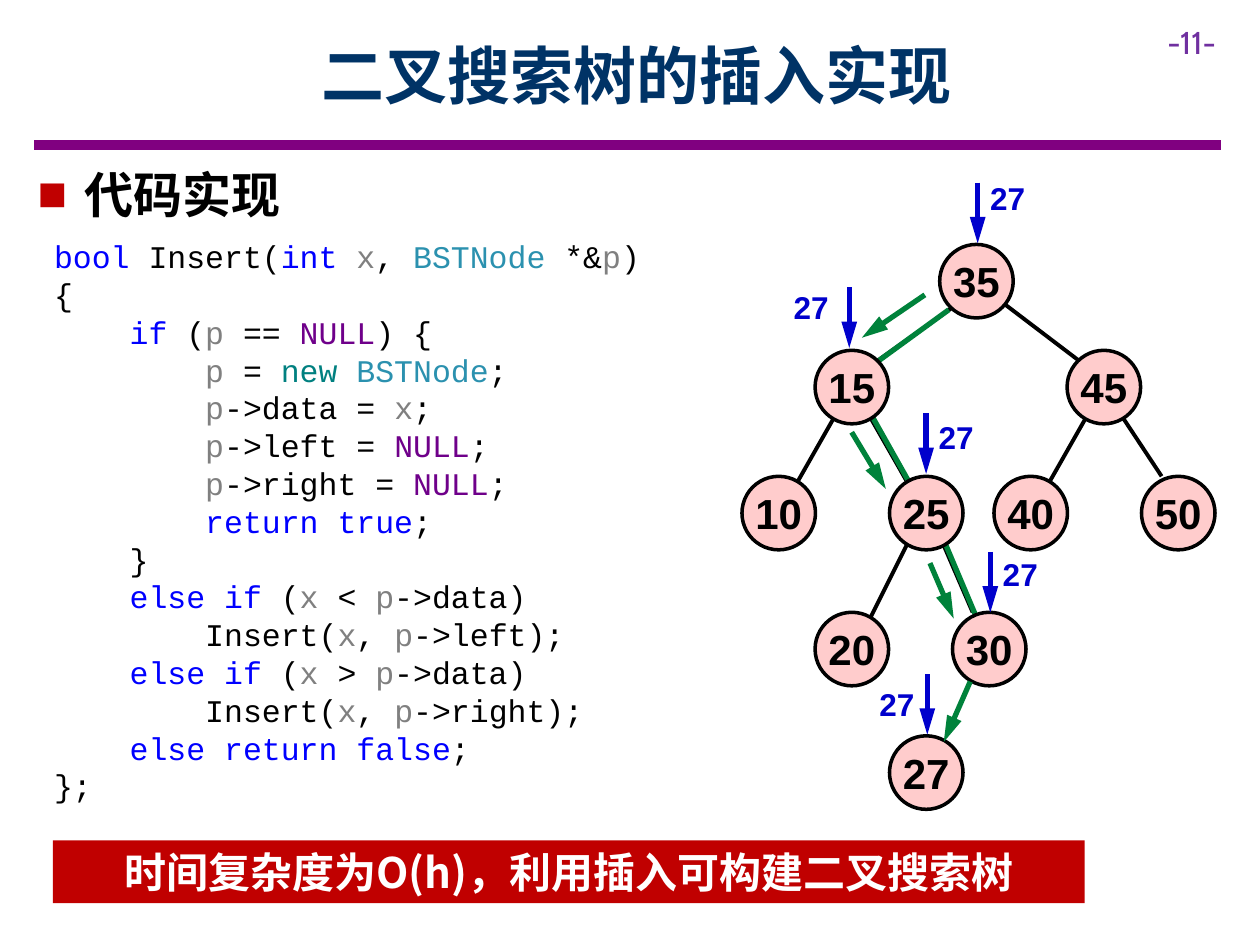
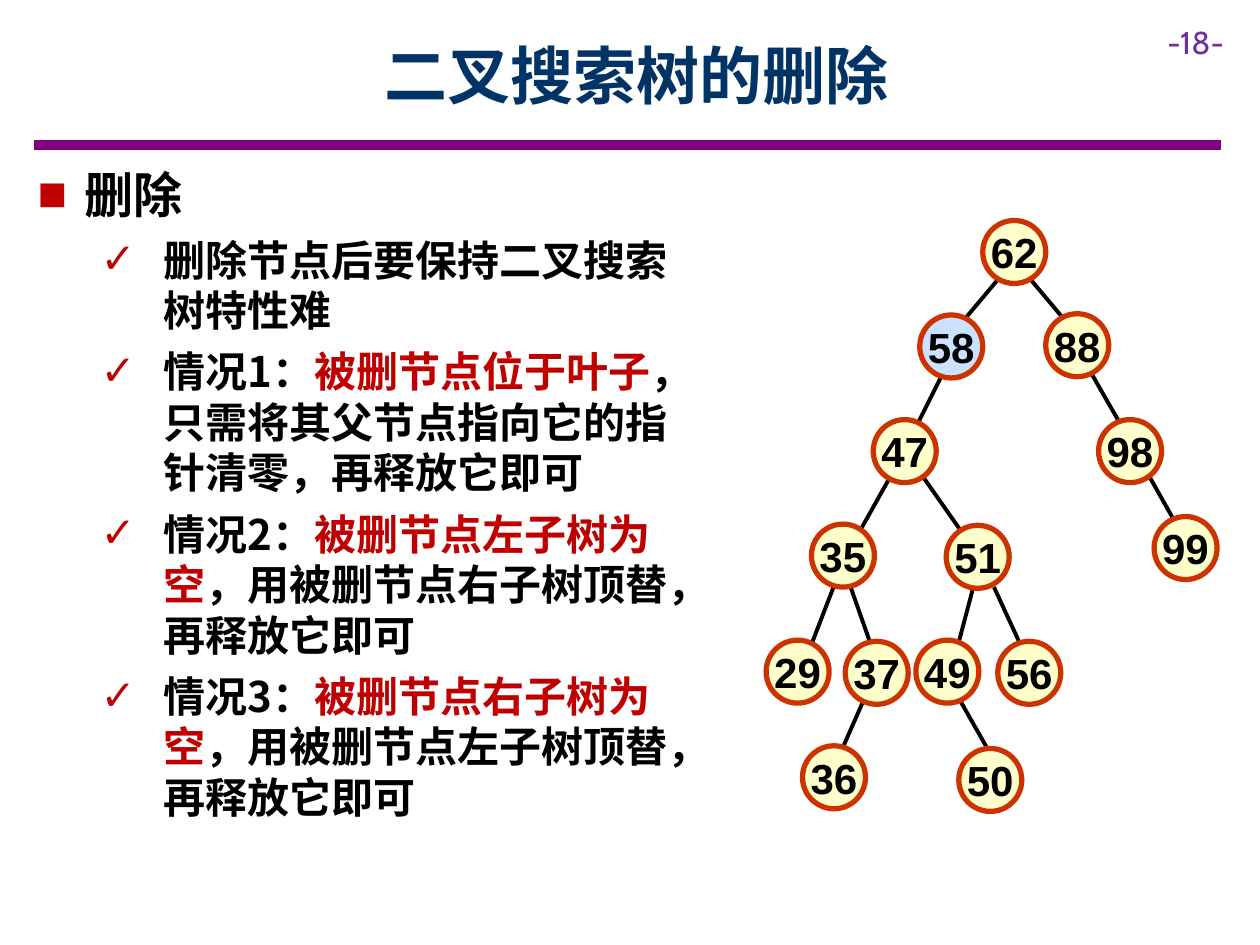
"""Build two slides on inserting into and deleting from a binary search tree."""
from itertools import groupby

from lxml.etree import SubElement
from pptx import Presentation
from pptx.dml.color import RGBColor
from pptx.enum.shapes import MSO_CONNECTOR as Connector, MSO_SHAPE as Shape
from pptx.enum.text import MSO_ANCHOR as Anchor, PP_ALIGN as Align
from pptx.oxml.ns import qn
from pptx.util import Pt

BLACK = RGBColor(0x00, 0x00, 0x00)
WHITE = RGBColor(0xFF, 0xFF, 0xFF)
NAVY = RGBColor(0x00, 0x33, 0x66)
PURPLE = RGBColor(0x80, 0x00, 0x80)
VIOLET = RGBColor(0x70, 0x30, 0xA0)
RED = RGBColor(0xC0, 0x00, 0x00)
RUST = RGBColor(0xCC, 0x33, 0x00)
PINK = RGBColor(0xFF, 0xCC, 0xCC)
CREAM = RGBColor(0xFF, 0xFF, 0xCC)
SKY = RGBColor(0xCA, 0xE2, 0xFF)
BLUE = RGBColor(0x00, 0x00, 0xCC)
GREEN = RGBColor(0x00, 0x82, 0x3B)
KEYWORD = RGBColor(0x00, 0x00, 0xFF)
TYPE = RGBColor(0x2B, 0x91, 0xAF)
ARGUMENT = RGBColor(0x80, 0x80, 0x80)
MACRO = RGBColor(0x6F, 0x00, 0x8A)
OPERATOR = RGBColor(0x00, 0x80, 0x80)

HAN = "Noto Sans CJK SC"
TITLE = {"name": HAN, "size": Pt(36), "bold": True}
HEADING = {"name": HAN, "size": Pt(28), "bold": True}
BODY = {"name": HAN, "size": Pt(24), "bold": True}
PAGE_NUMBER = {"name": "Cabin", "size": Pt(18)}
CODE = {"name": "Courier New", "size": Pt(18)}
NODE = {"name": "Arial", "size": Pt(24), "bold": True}
MARKER = {"name": "Arial", "size": Pt(18), "bold": True}

INSERT_CODE = [
    "bool Insert(int x, BSTNode *&p) {",
    "    if (p == NULL) {",
    "        p = new BSTNode;",
    "        p->data = x;",
    "        p->left = NULL;",
    "        p->right = NULL;",
    "        return true;",
    "    }",
    "    else if (x < p->data)",
    "        Insert(x, p->left);",
    "    else if (x > p->data)",
    "        Insert(x, p->right);",
    "    else return false;",
    "};",
]
WORD_COLORS = {
    **dict.fromkeys(["bool", "int", "if", "else", "return", "true", "false"], KEYWORD),
    **dict.fromkeys(["x", "p"], ARGUMENT),
    "BSTNode": TYPE, "NULL": MACRO, "new": OPERATOR,
}
COMPLEXITY = "时间复杂度为O(h)，利用插入可构建二叉搜索树"

DELETE_CASES = [
    [("删除节点后要保持二叉搜索树特性难", BLACK)],
    [("情况1：", BLACK), ("被删节点位于叶子", RED),
     ("，只需将其父节点指向它的指针清零，再释放它即可", BLACK)],
    [("情况2：", BLACK), ("被删节点左子树为空", RED),
     ("，用被删节点右子树顶替，再释放它即可", BLACK)],
    [("情况3：", BLACK), ("被删节点右子树为空", RED),
     ("，用被删节点左子树顶替，再释放它即可", BLACK)],
]

INSERT_TREE = {
    "diameter": 42, "fill": PINK, "outline": (BLACK, 2), "special": {},
    "nodes": {
        35: (537, 139.7), 15: (465.8, 200.2), 45: (609.8, 200.2),
        10: (424, 272.2), 25: (508.3, 272.2), 40: (568, 272.2), 50: (652.3, 272.2),
        20: (465.8, 349.9), 30: (544.3, 349.9), 27: (508.3, 420.5),
    },
    "edges": [
        (544.3, 175.7, 501.8, 205.9), (574.6, 174.2, 616.3, 205.9),
        (478, 236.2, 454.3, 277.9), (496, 236.2, 519.8, 277.9),
        (622, 236.2, 598.3, 277.9), (640, 236.2, 663.8, 272.2),
        (519.8, 308.2, 496, 355.7), (537.8, 308.2, 555.8, 349.9),
    ],
}
VISITED_EDGES = [
    (542.2, 177, 500.4, 207.4), (498.2, 237.6, 522, 280), (540, 310.3, 558, 352.8),
]
DESCENT_ARROWS = [
    (528.5, 168.5, 492.5, 193), (486.7, 247, 506.2, 279.4),
    (531.4, 321.8, 545, 353.5), (554.4, 389.5, 539.3, 424),
]
MARKER_ARROW_LENGTH = 34.6
MARKERS = [
    ((558.7, 104.4), (558.7, 98.6)), ((485.3, 164.2), (446.4, 161.3)),
    ((529.2, 236.2), (529.2, 235.4)), ((565.9, 315.4), (565.9, 313.9)),
    ((529.9, 385.2), (495.4, 388)),
]

DELETE_TREE = {
    "diameter": 36, "fill": CREAM, "outline": (RUST, 3), "special": {58: SKY},
    "nodes": {
        62: (561.6, 126), 58: (525.6, 180), 88: (597.6, 179.3),
        47: (499, 239.8), 98: (627.8, 239.8), 35: (463.7, 299.5),
        51: (540.7, 300.2), 99: (659.5, 295.2), 29: (437.8, 365.8),
        37: (483, 366.5), 49: (523.4, 365.8), 56: (570.2, 366.5),
        36: (458.6, 426.2), 50: (547.9, 427.7),
    },
    "edges": [
        (573.8, 155.5, 543.6, 191.5), (585.4, 155.5, 615.6, 191.5),
        (540.7, 209.5, 522.7, 245.5), (621.4, 209.5, 645.8, 252),
        (649.4, 259.2, 675.4, 305.3), (510.5, 269.3, 486.7, 311.8),
        (522.7, 265.7, 553, 308.9), (478.8, 329, 459.4, 379.4),
        (483.8, 329, 499, 372.2), (557.3, 331.2, 546.5, 372.2),
        (568, 335.5, 588.2, 379.4), (500.4, 384.5, 476.6, 438.5),
        (545.8, 395.3, 569.5, 437),
    ],
}


def add_span(para, text, style, color):
    span = para.add_run()
    span.text = text
    for name, value in style.items():
        setattr(span.font, name, value)
    span.font.color.rgb = color
    SubElement(span.font._element, qn("a:ea"), typeface=style["name"])


def add_box(page, left, top, width, height, wrap=True):
    box = page.shapes.add_textbox(Pt(left), Pt(top), Pt(width), Pt(height))
    box.text_frame.word_wrap = wrap
    return box.text_frame


def add_line(page, points, color, width, arrow=False):
    line = page.shapes.add_connector(Connector.STRAIGHT, *map(Pt, points))
    line.line.color.rgb = color
    line.line.width = Pt(width)
    if arrow:
        SubElement(line.line._get_or_add_ln(), qn("a:tailEnd"),
                   type="triangle", w="med", len="lg")
    SubElement(line._element.spPr, qn("a:effectLst"))


def add_filled_shape(page, kind, bounds, fill, text, style, color):
    shape = page.shapes.add_shape(kind, *map(Pt, bounds))
    shape.shadow.inherit = False
    shape.fill.solid()
    shape.fill.fore_color.rgb = fill
    frame = shape.text_frame
    frame.vertical_anchor = Anchor.MIDDLE
    frame.word_wrap = False
    for side in ("left", "top", "right", "bottom"):
        setattr(frame, f"margin_{side}", 0)
    frame.paragraphs[0].alignment = Align.CENTER
    add_span(frame.paragraphs[0], text, style, color)
    return shape


def add_bullet(para, symbol, left, hanging, line_height):
    para.line_spacing = Pt(line_height)
    para.space_after = Pt(6)
    properties = para._p.get_or_add_pPr()
    properties.set("marL", str(Pt(left)))
    properties.set("indent", str(-Pt(hanging)))
    color = SubElement(properties, qn("a:buClr"))
    SubElement(color, qn("a:srgbClr"), val=str(RED))
    SubElement(properties, qn("a:buFont"), typeface="Arial")
    SubElement(properties, qn("a:buChar"), char=symbol)


def add_page(deck, title, number, heading, body_height):
    page = deck.slides.add_slide(deck.slide_layouts[6])
    add_line(page, (19.5, 82.8, 697.7, 82.8), PURPLE, 6)
    corner = add_box(page, 660, 9.4, 60, 28.8)
    add_span(corner.paragraphs[0], f"-{number}-", PAGE_NUMBER, VIOLET)
    header = add_box(page, 64.8, 6.5, 598.3, 72)
    header.vertical_anchor = Anchor.MIDDLE
    header.paragraphs[0].alignment = Align.CENTER
    add_span(header.paragraphs[0], title, TITLE, NAVY)
    body = add_box(page, 14.4, 88.6, 380.2, body_height)
    add_bullet(body.paragraphs[0], "■", 27, 27, 35.5)
    add_span(body.paragraphs[0], heading, HEADING, BLACK)
    return page, body


def add_edges(page, tree):
    for points in tree["edges"]:
        add_line(page, points, BLACK, 2.25)


def add_nodes(page, tree):
    size = tree["diameter"]
    color, width = tree["outline"]
    for key, (left, top) in tree["nodes"].items():
        fill = tree["special"].get(key, tree["fill"])
        node = add_filled_shape(page, Shape.OVAL, (left, top, size, size),
                                fill, str(key), NODE, BLACK)
        node.line.color.rgb = color
        node.line.width = Pt(width)


def add_code(page):
    frame = add_box(page, 23.8, 132, 360, 331)
    for index, line in enumerate(INSERT_CODE):
        para = frame.add_paragraph() if index else frame.paragraphs[0]
        para.line_spacing = Pt(21.6)
        for _, letters in groupby(line, str.isalnum):
            word = "".join(letters)
            add_span(para, word, CODE, WORD_COLORS.get(word, BLACK))


def add_insert_page(deck):
    page, _ = add_page(deck, "二叉搜索树的插入实现", 11, "代码实现", 41)
    add_edges(page, INSERT_TREE)
    for points in VISITED_EDGES:
        add_line(page, points, GREEN, 3)
    add_nodes(page, INSERT_TREE)
    for points in DESCENT_ARROWS:
        add_line(page, points, GREEN, 3, arrow=True)
    for (x, y), (left, top) in MARKERS:
        add_line(page, (x, y, x, y + MARKER_ARROW_LENGTH), BLUE, 3, arrow=True)
        label = add_box(page, left, top, 34.6, 28.8, wrap=False)
        add_span(label.paragraphs[0], "27", MARKER, BLUE)
    add_code(page)
    banner = add_filled_shape(page, Shape.RECTANGLE, (30.2, 480.2, 589.7, 36),
                              RED, COMPLEXITY, BODY, WHITE)
    banner.line.fill.background()


def add_delete_page(deck):
    page, body = add_page(deck, "二叉搜索树的删除", 18, "删除", 455.8)
    for case in DELETE_CASES:
        para = body.add_paragraph()
        add_bullet(para, "✓", 72, 36, 28.9)
        for text, color in case:
            add_span(para, text, BODY, color)
    add_edges(page, DELETE_TREE)
    add_nodes(page, DELETE_TREE)


def main():
    deck = Presentation()
    deck.slide_width, deck.slide_height = Pt(720), Pt(540)
    add_insert_page(deck)
    add_delete_page(deck)
    deck.save("out.pptx")


if __name__ == "__main__":
    main()
